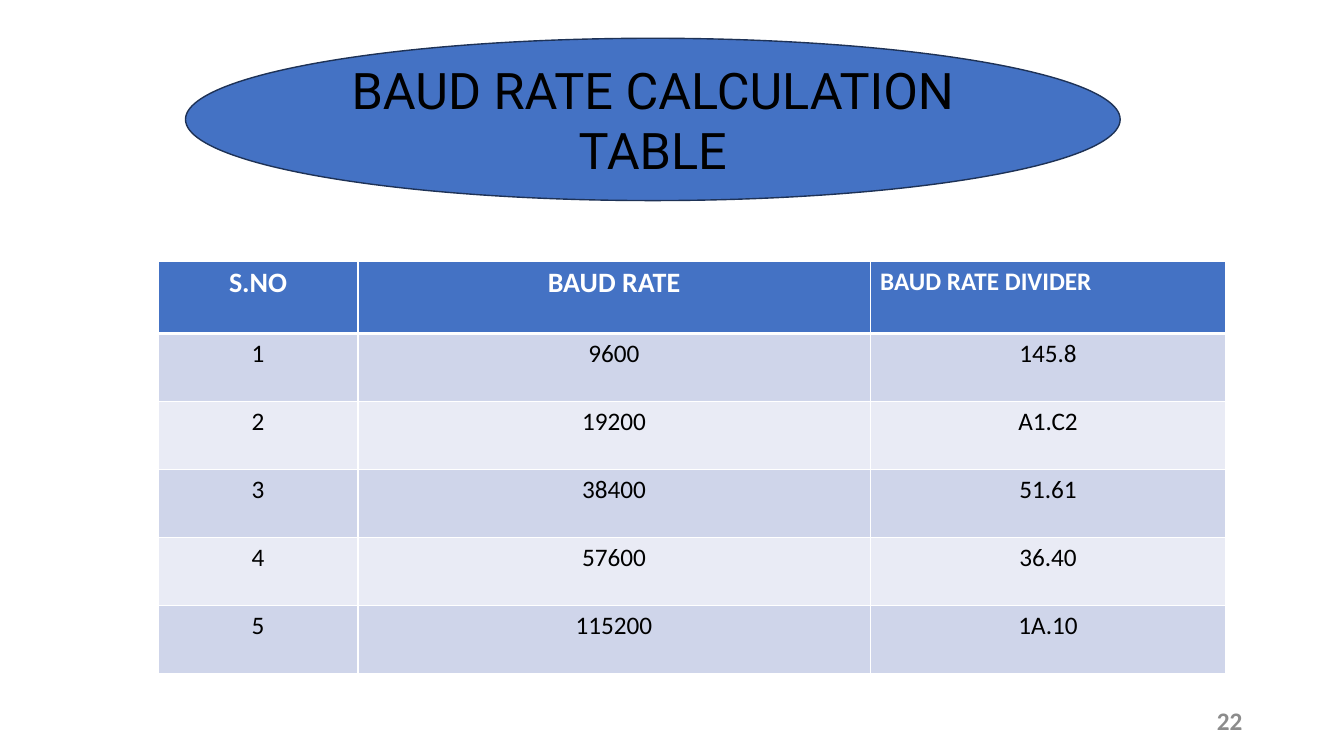
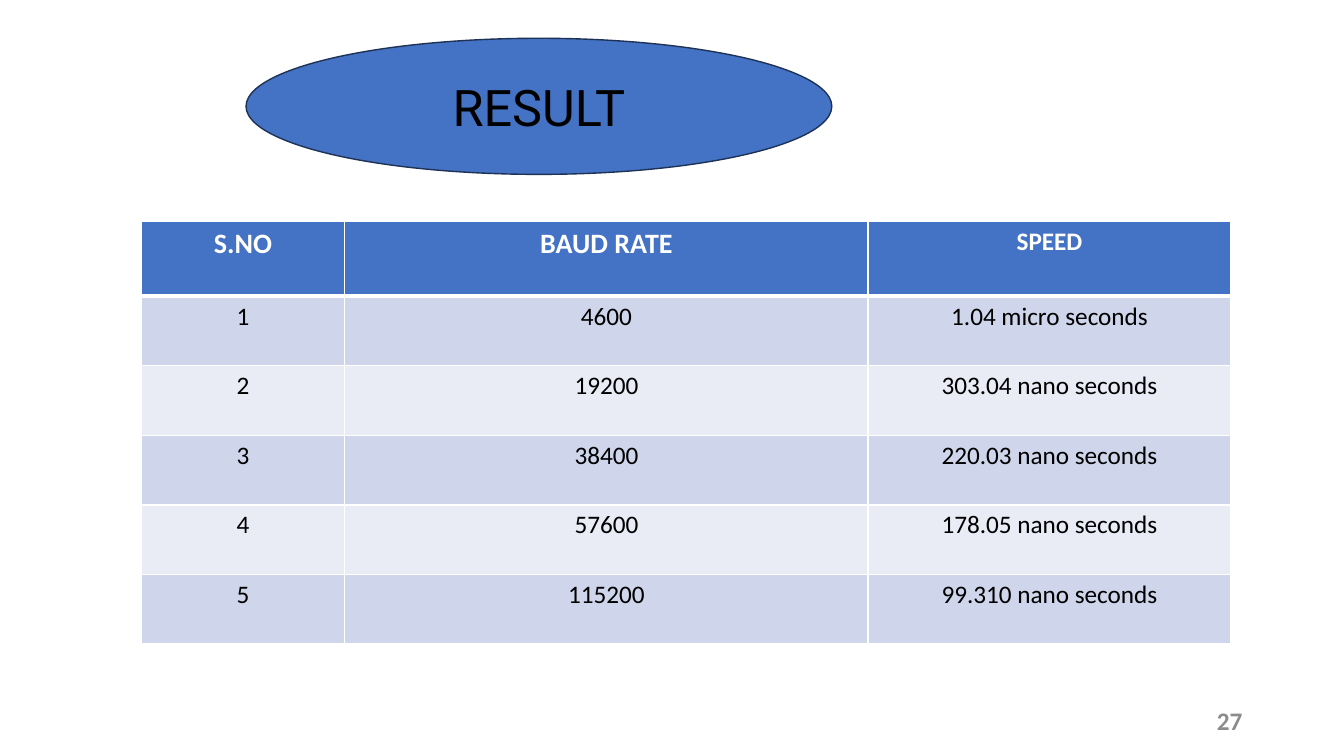
from dataclasses import dataclass

from lxml.etree import SubElement
from pptx import Presentation
from pptx.dml.color import RGBColor as RGB
from pptx.enum.shapes import MSO_SHAPE as Shape
from pptx.enum.text import MSO_ANCHOR as Anchor, PP_ALIGN as Align
from pptx.oxml.ns import qn
from pptx.util import Inches, Pt


@dataclass(frozen=True)
class Theme:
    accent: RGB = RGB.from_string("4472C4")
    outline: RGB = RGB.from_string("1E3256")
    ink: RGB = RGB.from_string("000000")
    white: RGB = RGB.from_string("FFFFFF")
    page_grey: RGB = RGB.from_string("8C8C8C")
    bands: tuple = (RGB.from_string("CFD5EA"), RGB.from_string("E9EBF5"))
    title_font: str = "Roboto"
    body_font: str = "Calibri"
    title_size: int = 36
    header_size: int = 20
    body_size: int = 18
    rule: int = 1
    header_rule: int = 3


THEME = Theme()


def write(frame, text, size, color, font=THEME.body_font, bold=False, align=Align.CENTER):
    paragraph = frame.paragraphs[0]
    paragraph.text = text
    paragraph.alignment = align
    style = paragraph.font
    style.name, style.size, style.bold = font, Pt(size), bold
    style.color.rgb = color


def add_title(slide, text, left, width, height):
    oval = slide.shapes.add_shape(
        Shape.OVAL, Inches(left), Inches(0.38), Inches(width), Inches(height))
    oval.shadow.inherit = False
    oval.fill.solid()
    oval.fill.fore_color.rgb = THEME.accent
    oval.line.color.rgb = THEME.outline
    oval.line.width = Pt(1)
    oval.text_frame.vertical_anchor = Anchor.MIDDLE
    write(oval.text_frame, text, THEME.title_size, THEME.ink, THEME.title_font)


def add_page_number(slide, number):
    frame = slide.shapes.add_textbox(
        Inches(9.42), Inches(6.95), Inches(3), Inches(0.4)).text_frame
    frame.word_wrap = True
    frame.vertical_anchor = Anchor.MIDDLE
    write(frame, str(number), THEME.body_size, THEME.page_grey, bold=True, align=Align.RIGHT)


def set_borders(cell, top, bottom):
    """Draw white cell edges; call before the fill, which must follow them in the XML."""
    properties = cell._tc.get_or_add_tcPr()
    widths = {"lnL": THEME.rule, "lnR": THEME.rule, "lnT": top, "lnB": bottom}
    for edge, width in widths.items():
        line = SubElement(properties, qn(f"a:{edge}"), w=str(Pt(width)))
        fill = SubElement(line, qn("a:solidFill"))
        SubElement(fill, qn("a:srgbClr"), val=str(THEME.white))


def paint_cell(cell, row, fill):
    set_borders(cell,
                top=THEME.header_rule if row == 1 else THEME.rule,
                bottom=THEME.header_rule if row == 0 else THEME.rule)
    cell.fill.solid()
    cell.fill.fore_color.rgb = fill


def add_rate_table(slide, left, top, widths, header_height, row_height,
                   last_header, last_align, readings):
    heights = [header_height] + [row_height] * len(readings)
    table = slide.shapes.add_table(
        len(heights), len(widths), Inches(left), Inches(top),
        Inches(sum(widths)), Inches(sum(heights))).table
    for column, width in zip(table.columns, widths):
        column.width = Inches(width)
    for row, height in zip(table.rows, heights):
        row.height = Inches(height)

    headers = (
        ("S.NO", THEME.header_size, Align.CENTER),
        ("BAUD RATE", THEME.header_size, Align.CENTER),
        (last_header, THEME.body_size, last_align),
    )
    for column, (text, size, align) in enumerate(headers):
        cell = table.cell(0, column)
        paint_cell(cell, 0, THEME.accent)
        write(cell.text_frame, text, size, THEME.white, bold=True, align=align)

    for number, reading in enumerate(readings, start=1):
        band = THEME.bands[(number - 1) % 2]
        for column, text in enumerate((str(number), *reading)):
            cell = table.cell(number, column)
            paint_cell(cell, number, band)
            write(cell.text_frame, text, THEME.body_size, THEME.ink)


def add_slide(deck, title, title_box, page, **table):
    slide = deck.slides.add_slide(deck.slide_layouts[6])
    add_page_number(slide, page)
    add_title(slide, title, *title_box)
    add_rate_table(slide, **table)


def main():
    deck = Presentation()
    deck.slide_width, deck.slide_height = Inches(13.33), Inches(7.5)

    add_slide(
        deck, "BAUD RATE CALCULATION TABLE", (1.84, 9.27, 1.61), 22,
        left=1.57, top=2.59, widths=(1.98, 5.08, 3.53),
        header_height=0.72, row_height=0.675,
        last_header="BAUD RATE DIVIDER", last_align=Align.LEFT,
        readings=(
            ("9600", "145.8"),
            ("19200", "A1.C2"),
            ("38400", "51.61"),
            ("57600", "36.40"),
            ("115200", "1A.10"),
        ))
    add_slide(
        deck, "RESULT", (2.44, 5.81, 1.35), 27,
        left=1.4, top=2.2, widths=(2.02, 5.19, 3.6),
        header_height=0.74, row_height=0.69,
        last_header="SPEED", last_align=Align.CENTER,
        readings=(
            ("4600", "1.04 micro seconds"),
            ("19200", "303.04 nano seconds"),
            ("38400", "220.03 nano seconds"),
            ("57600", "178.05 nano seconds"),
            ("115200", "99.310 nano seconds"),
        ))
    deck.save("out.pptx")


if __name__ == "__main__":
    main()
